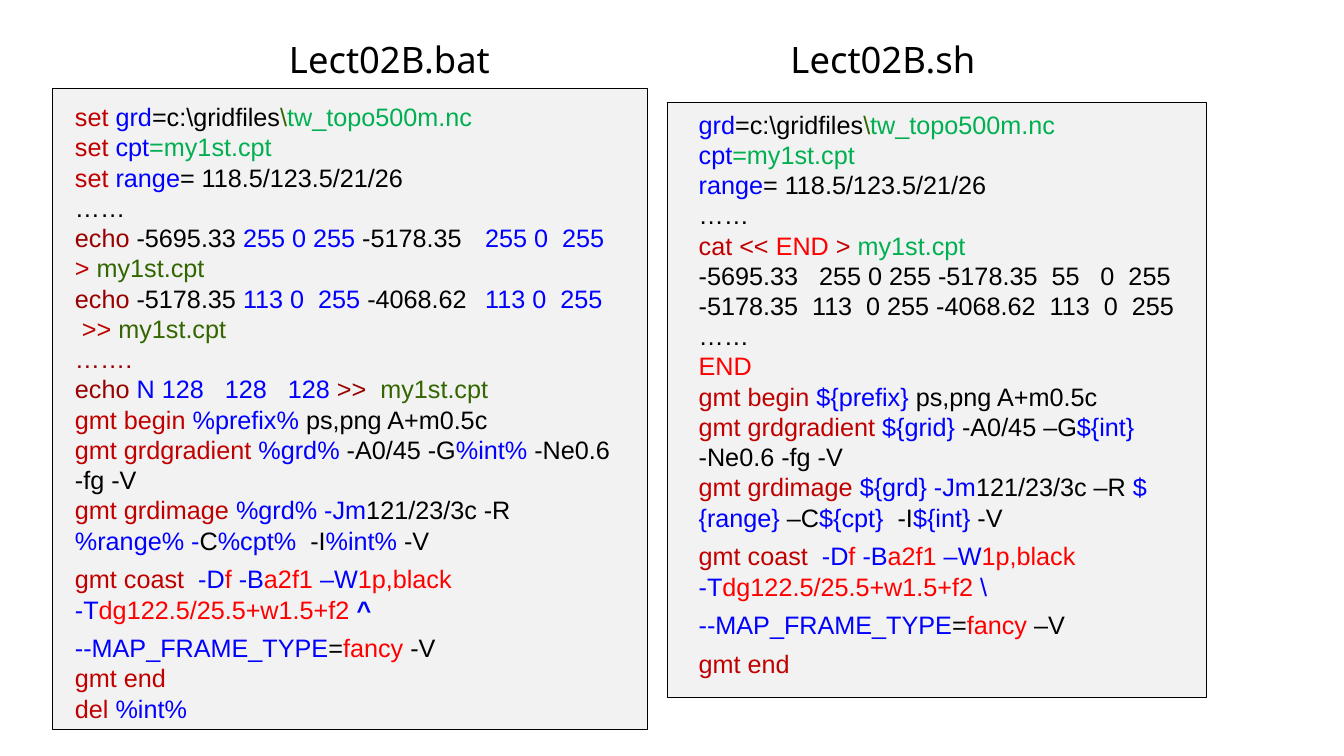
from pptx import Presentation
from pptx.dml.color import RGBColor
from pptx.enum.shapes import MSO_SHAPE
from pptx.enum.text import MSO_ANCHOR, MSO_AUTO_SIZE, PP_ALIGN
from pptx.util import Emu, Pt

RECT = MSO_SHAPE.RECTANGLE
MIDDLE = MSO_ANCHOR.MIDDLE
TOP = MSO_ANCHOR.TOP
FIXED = MSO_AUTO_SIZE.NONE
CENTER = PP_ALIGN.CENTER
LEFT = PP_ALIGN.LEFT
SCALE = 9525

BLACK = "000000"
BLUE = "0000FF"
RED = "C00000"
BRIGHT = "FF0000"
DARK = "990000"
GREEN = "00B050"
OLIVE = "336600"
GRAY = "F2F2F2"

GRID = [("grd", BLUE), ("=c:\\gridfiles", BLACK), ("\\", OLIVE), ("tw_topo500m.nc", GREEN)]
COLORS = [("cpt", BLUE), ("=my1st.cpt", GREEN)]
RANGE = [("range", BLUE), ("= 118.5/123.5/21/26", BLACK)]
DOTS = [("……", BLACK)]
SET = [("set ", RED)]
COAST = [("gmt coast ", RED), (" -D", BLUE), ("f ", BRIGHT), ("-B", BLUE),
         ("a2f1 ", BRIGHT), ("–W", BLUE), ("1p,black", BRIGHT), (" -T", BLUE)]
FRAME = [("--MAP_FRAME_TYPE", BLUE), ("=", BLACK), ("fancy", BRIGHT)]
FINISH = [("gmt end", RED)]

BATCH = [
    (0, SET + GRID),
    (0, SET + COLORS),
    (0, SET + RANGE),
    (0, DOTS),
    (0, [("echo ", DARK), ("-5695.33 ", BLACK), ("255 0 255 ", BLUE), ("-5178.35\t ", BLACK),
         ("255 0  255  ", BLUE), ("> ", RED), ("my1st.cpt", OLIVE)]),
    (0, [("echo ", DARK), ("-5178.35 ", BLACK), ("113 0  255 ", BLUE), ("-4068.62\t ", BLACK),
         ("113 0  255   ", BLUE), (">> ", RED), ("my1st.cpt", OLIVE)]),
    (0, [("…….", DARK)]),
    (0, [("echo ", DARK), ("N 128   128   128 ", BLUE), (">>  ", DARK), ("my1st.cpt", OLIVE)]),
    (0, [("gmt begin ", RED), ("%prefix% ", BLUE), ("ps,png A+m0.5c", BLACK)]),
    (0, [("gmt grdgradient ", RED), ("%grd% ", BLUE), ("-A0/45 -G", BLACK),
         ("%int%", BLUE), (" -Ne0.6 -fg -V", BLACK)]),
    (0, [("gmt grdimage ", RED), ("%grd% -Jm", BLUE), ("121/23/3c -R ", BLACK),
         ("%range% -", BLUE), ("C", BLACK), ("%cpt% ", BLUE), (" -I", BLACK),
         ("%int% ", BLUE), ("-V", BLACK)]),
    (6, COAST + [("dg122.5/25.5+w1.5+f2 ", BRIGHT), ("^", BLUE, True)]),
    (6, FRAME + [(" -V", BLACK)]),
    (0, FINISH),
    (0, [("del ", RED), ("%int%", BLUE)]),
]

SHELL = [
    (0, GRID),
    (0, COLORS),
    (0, RANGE),
    (0, DOTS),
    (0, [("cat << ", RED), ("END ", BRIGHT), (">", RED), (" my1st.cpt", GREEN)]),
    (0, [("-5695.33   255 0 255 -5178.35  55   0  255", BLACK)]),
    (0, [("-5178.35  113  0 255 -4068.62  113  0  255", BLACK)]),
    (0, DOTS),
    (0, [("END", BRIGHT)]),
    (0, [("gmt begin ", RED), ("${prefix} ", BLUE), ("ps,png A+m0.5c", BLACK)]),
    (0, [("gmt grdgradient ", RED), ("${grid} ", BLUE), ("-A0/45 –G", BLACK),
         ("${int}", BLUE), (" -Ne0.6 -fg -V", BLACK)]),
    (0, [("gmt grdimage ", RED), ("${grd} -Jm", BLUE), ("121/23/3c –R", BLACK),
         (" ${range}", BLUE), (" –C", BLACK), ("${cpt} ", BLUE), (" -I", BLACK),
         ("${int} ", BLUE), ("-V", BLACK)]),
    (6, COAST + [("dg122.5/25.5+w1.5+f2", BRIGHT), (" \\", BLUE)]),
    (6, FRAME + [(" –V", BLACK)]),
    (6, FINISH),
]


def px(size):
    return Emu(size * SCALE)


def paint(hue):
    return RGBColor.from_string(hue)


def add_run(para, text, hue, size, font, bold=False):
    run = para.add_run()
    run.text = text
    run.font.name = font
    run.font.size = Pt(size)
    run.font.bold = bold
    run.font.color.rgb = paint(hue)


def set_frame(shape, anchor):
    frame = shape.text_frame
    frame.word_wrap = True
    frame.auto_size = FIXED
    frame.vertical_anchor = anchor
    return frame


def add_head(shape, text):
    para = set_frame(shape, MIDDLE).paragraphs[0]
    para.alignment = CENTER
    add_run(para, text, BLACK, 26, "Noto Sans")


def add_panel(slide, *place):
    panel = slide.shapes.add_shape(RECT, *map(px, place))
    panel.shadow.inherit = False
    panel.fill.solid()
    panel.fill.fore_color.rgb = paint(GRAY)
    panel.line.color.rgb = paint(BLACK)
    panel.line.width = Pt(0.75)


def add_code(slide, lines, *place):
    box = slide.shapes.add_textbox(*map(px, place))
    frame = set_frame(box, TOP)
    for i, (gap, runs) in enumerate(lines):
        para = frame.add_paragraph() if i else frame.paragraphs[0]
        para.alignment = LEFT
        para.space_before = Pt(gap)
        for text, hue, *bold in runs:
            add_run(para, text, hue, 18, "Arial", *bold)


def main():
    deck = Presentation()
    deck.slide_width, deck.slide_height = px(1280), px(720)
    slide = deck.slides.add_slide(deck.slide_layouts[5])

    title = slide.shapes.title
    title.left, title.top, title.width, title.height = map(px, (180, 14, 382, 84))
    add_head(title, "Lect02B.bat")
    add_panel(slide, 50, 84, 567, 611)
    add_code(slide, BATCH, 62, 92, 533, 608)

    add_panel(slide, 636, 98, 513, 566)
    head = slide.shapes.add_textbox(*map(px, (650, 14, 382, 84)))
    add_head(head, "Lect02B.sh")
    add_code(slide, SHELL, 656, 99, 493, 558)

    deck.save("out.pptx")


if __name__ == "__main__":
    main()
